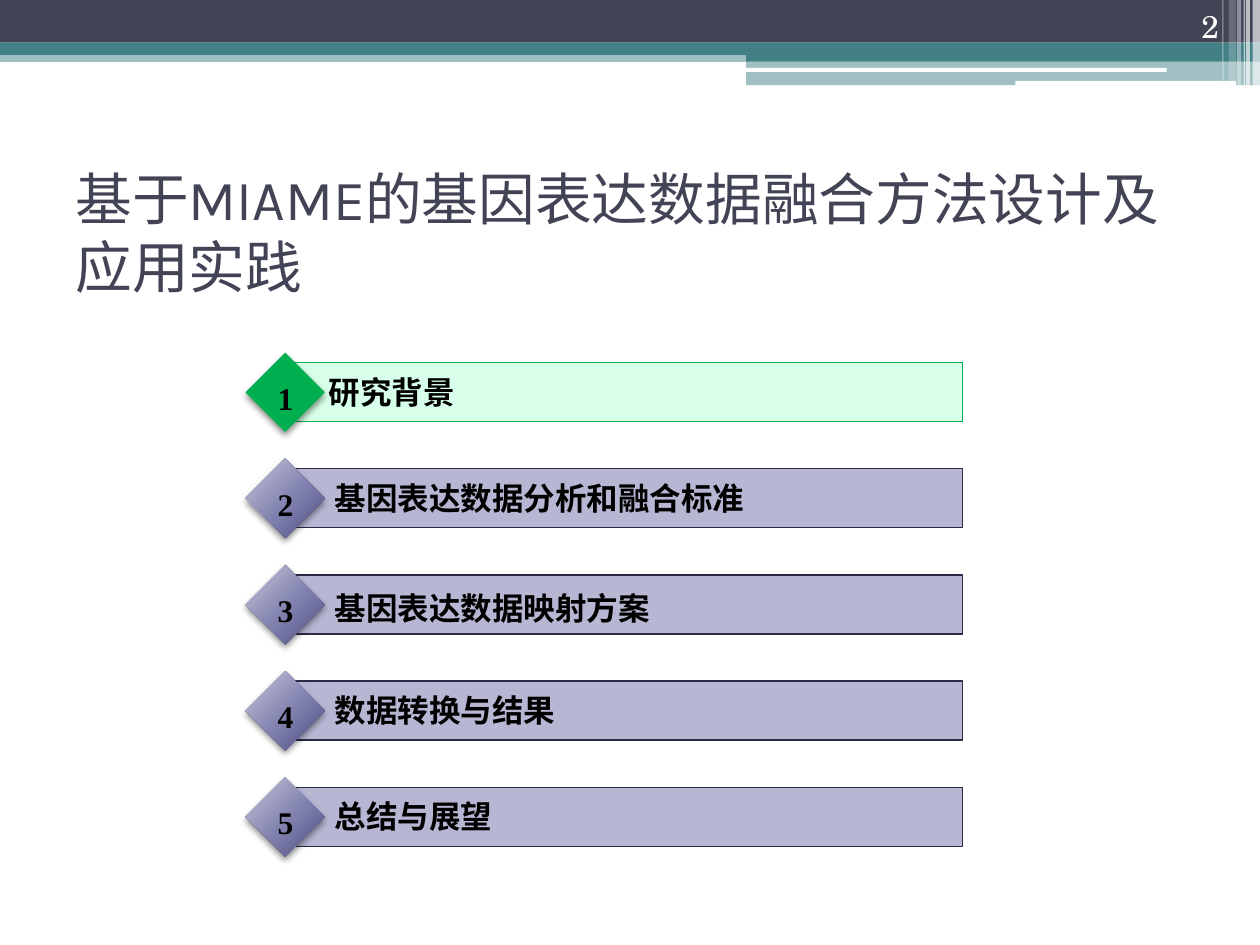
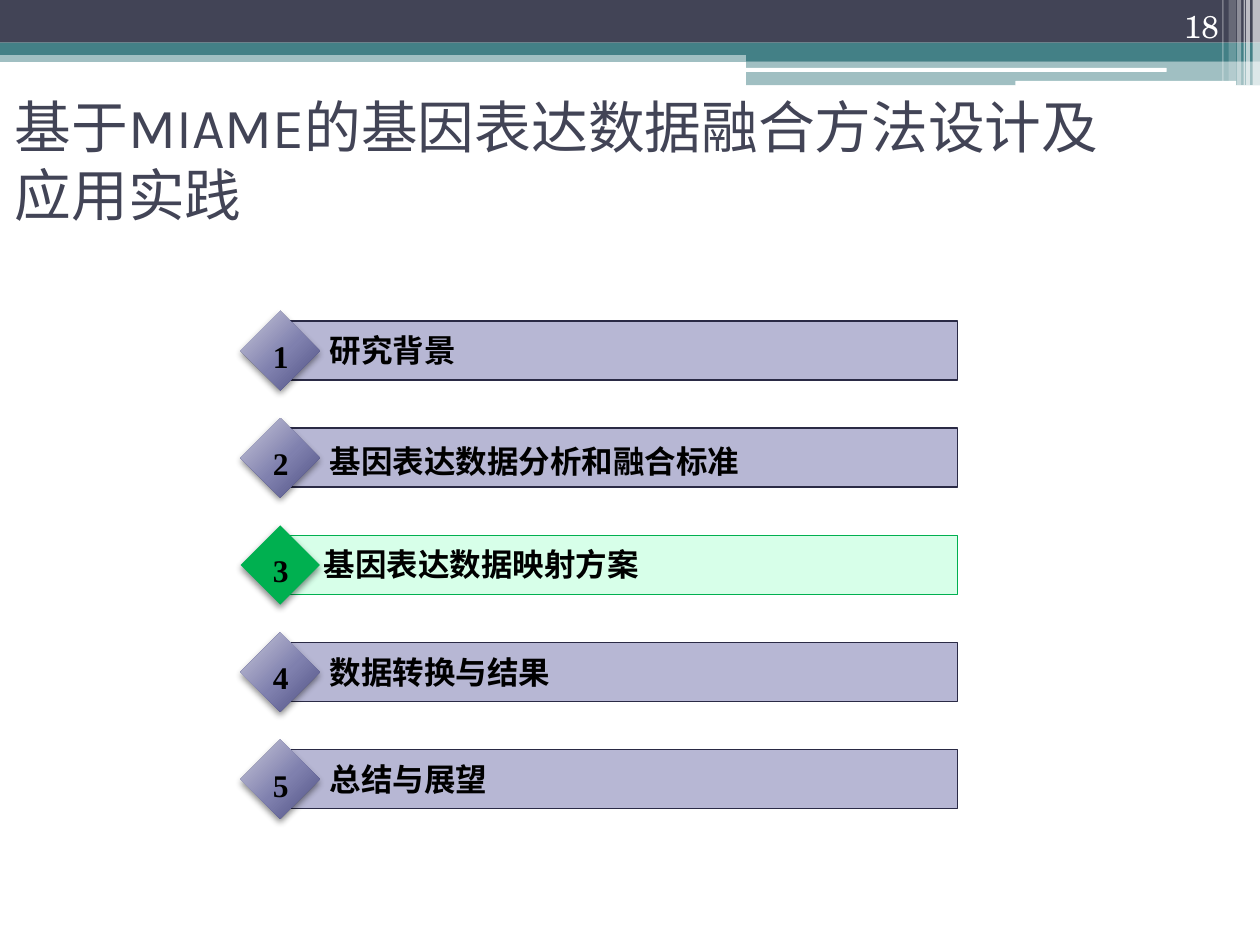
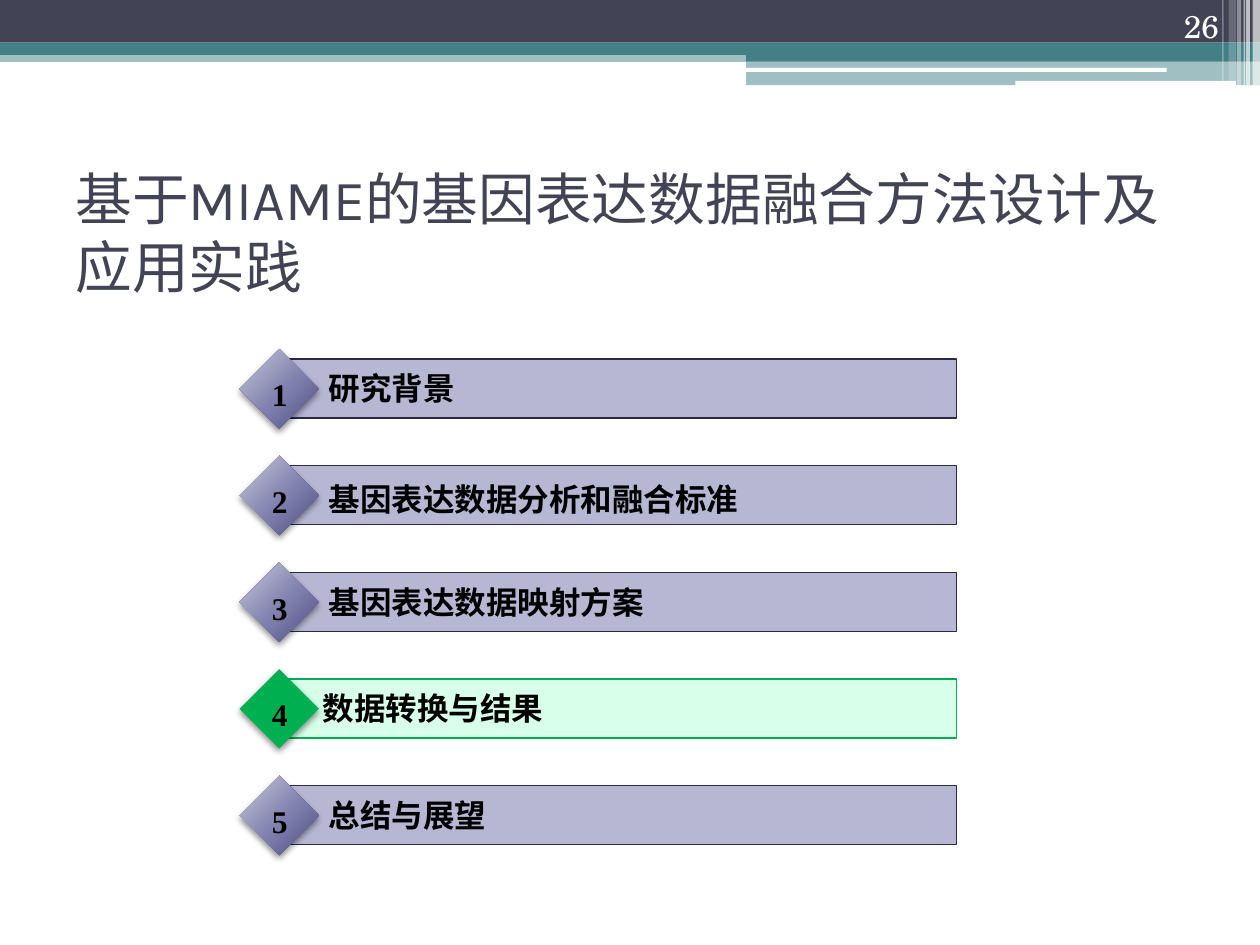
from dataclasses import dataclass

from lxml.etree import SubElement
from pptx import Presentation
from pptx.dml.color import RGBColor
from pptx.enum.shapes import MSO_SHAPE as Preset
from pptx.enum.text import MSO_ANCHOR as Anchor, MSO_AUTO_SIZE as AutoSize, PP_ALIGN as Align
from pptx.oxml.ns import qn
from pptx.util import Cm, Pt

NAVY = RGBColor(0x42, 0x44, 0x56)
TEAL = RGBColor(0x43, 0x80, 0x86)
WHITE = RGBColor(0xFF, 0xFF, 0xFF)
BLACK = RGBColor(0x00, 0x00, 0x00)
LILAC = RGBColor(0xB7, 0xB7, 0xD4)
INDIGO = RGBColor(0x2A, 0x2A, 0x45)
MINT = RGBColor(0xB9, 0xFF, 0xD9)
GREEN = RGBColor(0x00, 0xB0, 0x50)
GEM_STOPS = [
    (0, RGBColor(0xC9, 0xC9, 0xDA)),
    (55, RGBColor(0x7F, 0x80, 0xAE)),
    (100, RGBColor(0x4D, 0x4E, 0x81)),
]
GEM_FOCUS = {"l": -40, "t": -90, "r": 140, "b": 190}

TITLE = "基于MIAME的基因表达数据融合方法设计及应用实践"
CHAPTERS = ["研究背景", "基因表达数据分析和融合标准", "基因表达数据映射方案", "数据转换与结果", "总结与展望"]
TITLE_FONT = {"name": "Karla", "size": Pt(32.4)}
CHAPTER_FONT = {"name": "Times New Roman", "size": Pt(18), "bold": True}
NUMBER_FONT = {"name": "TeX Gyre Schola", "size": Pt(18)}

BANDS = [
    (0, 1.02, 25.4, 0.23, TEAL, 50),
    (0, 0, 25.4, 0.86, NAVY, 100),
    (0, 0.86, 25.4, 0.25, TEAL, 100),
    (15.04, 0.99, 10.36, 0.25, TEAL, 100),
    (15.04, 1.24, 10.36, 0.48, TEAL, 50),
]
GROOVES = [(15.01, 1.37, 8.51, 0.08), (20.47, 1.63, 4.45, 0.1)]
STRIPES = [
    (25.25, 0.15, 1.72, 65),
    (25.12, 0.08, 1.72, 65),
    (25.07, 0.03, 1.72, 60),
    (24.94, 0.08, 1.72, 40),
    (24.77, 0.15, 1.63, 20),
    (24.64, 0.03, 1.63, 30),
]


@dataclass
class Agenda:
    number: int
    current: int
    lowered: int
    title_at: tuple
    left: float
    top: float
    step: float


AGENDAS = [
    Agenda(2, 1, 3, (1.27, 3.18), 4.95, 7.11, 2.14),
    Agenda(18, 3, 2, (0.05, 1.73), 4.85, 6.27, 2.16),
    Agenda(26, 4, 2, (1.27, 3.18), 4.83, 7.04, 2.15),
]


def set_alpha(parent, percent):
    SubElement(parent, qn("a:alpha"), val=str(percent * 1000))


def add_figure(shapes, preset, area, fill, alpha=100, line=None):
    figure = shapes.add_shape(preset, *map(Cm, area))
    figure.shadow.inherit = False
    figure.fill.solid()
    figure.fill.fore_color.rgb = fill
    if alpha < 100:
        set_alpha(figure.element.spPr.find(".//" + qn("a:srgbClr")), alpha)
    if line is None:
        figure.line.fill.background()
    else:
        figure.line.color.rgb = line
        figure.line.width = Pt(0.75)
    return figure


def write(frame, text, font, color, align=Align.LEFT, anchor=Anchor.TOP):
    frame.vertical_anchor = anchor
    para = frame.paragraphs[0]
    para.alignment = align
    span = para.add_run()
    span.text = text
    for name, value in font.items():
        setattr(span.font, name, value)
    span.font.color.rgb = color


def add_text(shapes, area, text, font, color, wrap=True, **layout):
    box = shapes.add_textbox(*map(Cm, area))
    box.text_frame.word_wrap = wrap
    write(box.text_frame, text, font, color, **layout)
    return box


def shade_gem(gem):
    properties = gem.element.spPr
    solid = properties.find(qn("a:solidFill"))
    gradient = SubElement(properties, qn("a:gradFill"), rotWithShape="1")
    stops = SubElement(gradient, qn("a:gsLst"))
    for position, color in GEM_STOPS:
        stop = SubElement(stops, qn("a:gs"), pos=str(position * 1000))
        SubElement(stop, qn("a:srgbClr"), val=str(color))
    circle = SubElement(gradient, qn("a:path"), path="circle")
    focus = {side: str(percent * 1000) for side, percent in GEM_FOCUS.items()}
    SubElement(circle, qn("a:fillToRect"), **focus)
    properties.replace(solid, gradient)


def cast_shadow(gem):
    effects = gem.element.spPr.find(qn("a:effectLst"))
    shadow = SubElement(effects, qn("a:outerShdw"), blurRad=str(Pt(4)), dist=str(Pt(2)),
                        dir="5400000", rotWithShape="0")
    set_alpha(SubElement(shadow, qn("a:srgbClr"), val=str(BLACK)), 45)


def add_gem(shapes, left, top, number, current):
    gem = add_figure(shapes, Preset.DIAMOND, (left, top, 1.6, 1.6), GREEN)
    if not current:
        shade_gem(gem)
    cast_shadow(gem)
    write(gem.text_frame, str(number), CHAPTER_FONT, BLACK)


def add_chapter(page, left, top, number, text, current, lowered):
    shapes = page.shapes.add_group_shape().shapes
    fill, alpha, line = (MINT, 56, GREEN) if current else (LILAC, 100, INDIGO)
    add_figure(shapes, Preset.RECTANGLE, (left + 0.89, top + 0.2, 13.56, 1.19), fill, alpha, line)
    add_gem(shapes, left, top, number, current)
    text_left = left + (1.43 if current else 1.55)
    text_top = top + (0.36 if lowered else 0.28)
    width = 0.64 * len(text) + 0.54 if current else 12.85
    box = add_text(shapes, (text_left, text_top, width, 1.02), text, CHAPTER_FONT, BLACK,
                   wrap=not current)
    box.text_frame.auto_size = AutoSize.SHAPE_TO_FIT_TEXT


def decorate_layout(layout, page):
    for holder in list(layout.placeholders):
        holder.element.getparent().remove(holder.element)
    shapes = page.shapes
    for *area, color, alpha in BANDS:
        add_figure(shapes, Preset.RECTANGLE, area, color, alpha)
    for area in GROOVES:
        add_figure(shapes, Preset.ROUNDED_RECTANGLE, area, WHITE)
    for left, width, height, alpha in STRIPES:
        add_figure(shapes, Preset.RECTANGLE, (left, 0, width, height), WHITE, alpha)
    for band in list(shapes):
        layout.shapes.element.append(band.element)


def add_agenda(page, agenda):
    add_text(page.shapes, (*agenda.title_at, 22.86, 2.97), TITLE, TITLE_FONT, NAVY,
             anchor=Anchor.MIDDLE)
    for index, text in enumerate(CHAPTERS):
        number = index + 1
        add_chapter(page, agenda.left, agenda.top + index * agenda.step, number, text,
                    number == agenda.current, number == agenda.lowered)
    add_text(page.shapes, (22.71, 0, 2.11, 1.02), str(agenda.number), NUMBER_FONT, WHITE,
             align=Align.RIGHT, anchor=Anchor.BOTTOM)


def main():
    deck = Presentation()
    deck.slide_width, deck.slide_height = Cm(25.4), Cm(19.05)
    blank = deck.slide_layouts[6]
    pages = [deck.slides.add_slide(blank) for _ in AGENDAS]
    decorate_layout(blank, pages[0])
    for page, agenda in zip(pages, AGENDAS):
        add_agenda(page, agenda)
    deck.save("out.pptx")


if __name__ == "__main__":
    main()
